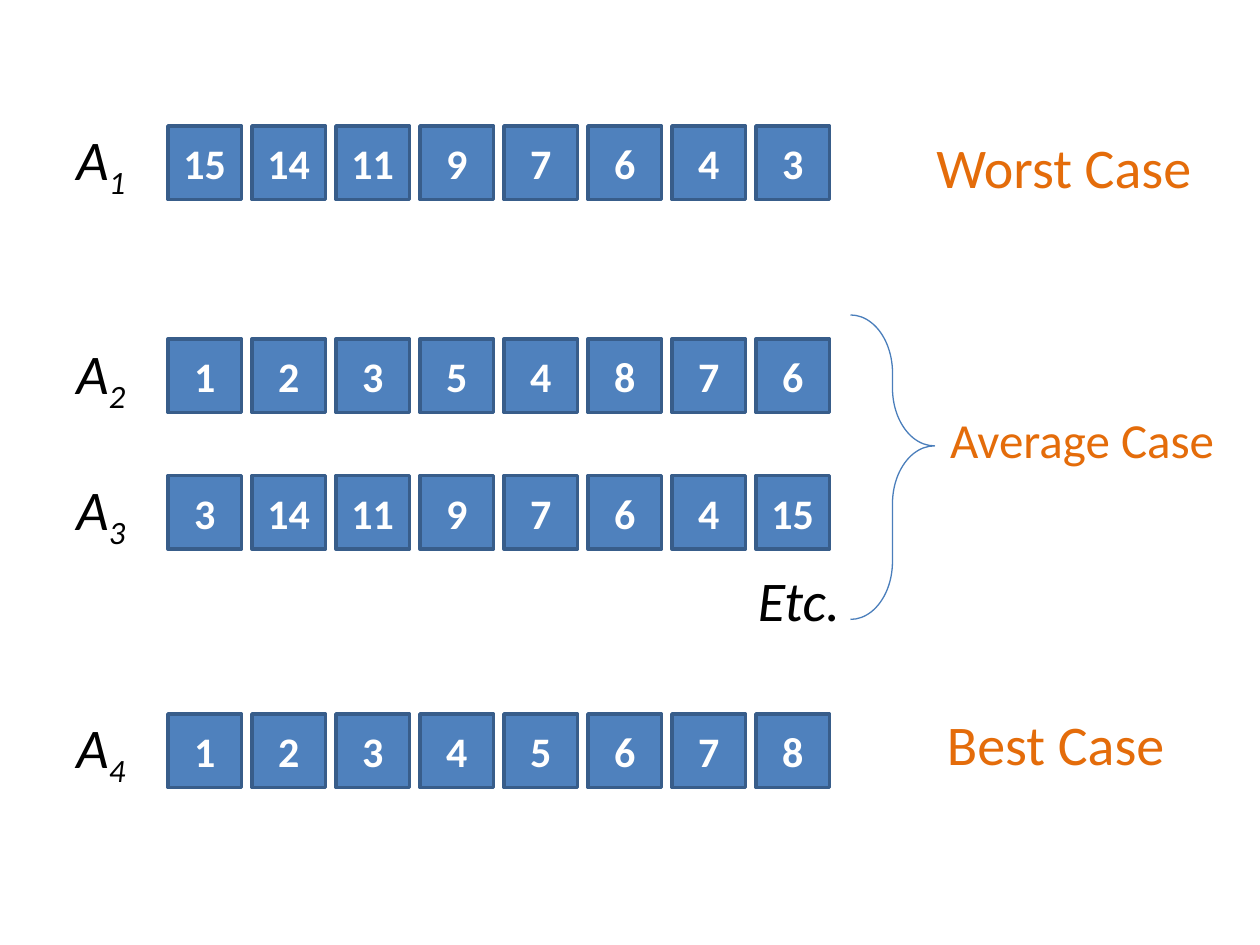
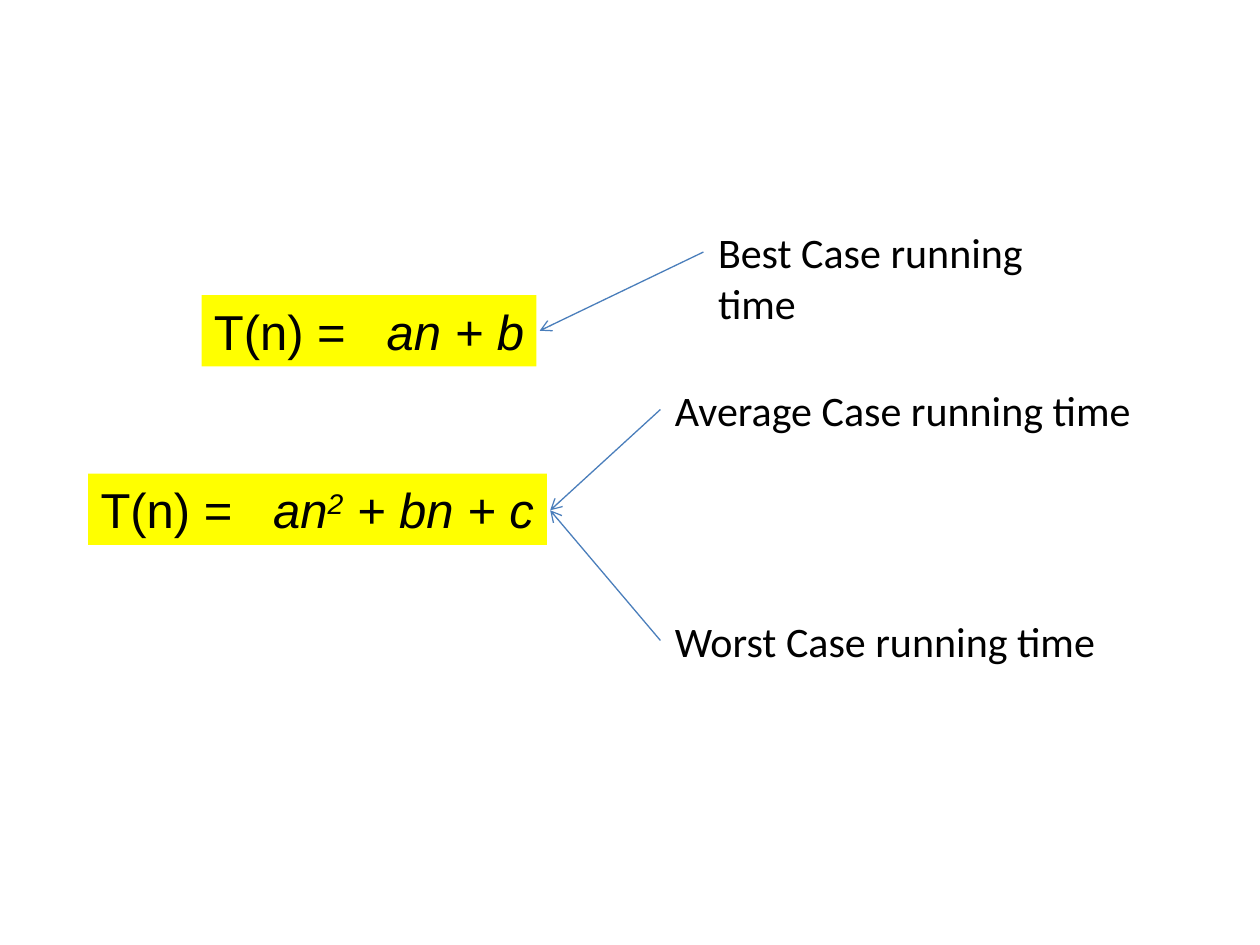
from lxml.etree import SubElement as Sub
from pptx import Presentation as Pres
from pptx.dml.color import RGBColor as RGB
from pptx.enum.shapes import MSO_CONNECTOR as Link, MSO_SHAPE as Form
from pptx.enum.text import MSO_ANCHOR as Anchor, MSO_AUTO_SIZE as Fit, PP_ALIGN as Align
from pptx.oxml.ns import qn
from pptx.util import Inches, Pt

HUES = {"cell": "4F81BD", "edge": "385D8A", "line": "4A7EBB", "case": "E46C0A",
        "ink": "000000", "pale": "FFFFFF", "mark": "FFFF00"}
FONTS = {
    "cell": {"name": "Calibri", "size": Pt(24), "bold": True, "hue": "pale"},
    "name": {"name": "Calibri", "size": Pt(32), "italic": True, "hue": "ink"},
    "case": {"name": "Calibri", "size": Pt(32), "hue": "case"},
    "mean": {"name": "Calibri", "size": Pt(28), "hue": "case"},
    "note": {"name": "Calibri", "size": Pt(24), "hue": "ink"},
    "sum": {"name": "Arial", "size": Pt(28), "hue": "ink"},
}
COLS, ROWS = 120, 90


def tint(name):
    return RGB.from_string(HUES[name])


class Deck:
    """Hold the style and the current slide; lengths are grid columns and rows."""

    def __init__(self):
        self.pres = Pres()
        self.pres.slide_width, self.pres.slide_height = Inches(10), Inches(7.5)
        self.slide = None

    def add(self):
        self.slide = self.pres.slides.add_slide(self.pres.slide_layouts[6])

    def place(self, *spots):
        """Turn alternating columns and rows into slide lengths."""
        units = self.pres.slide_width / COLS, self.pres.slide_height / ROWS
        return [round(spot * units[i % 2]) for i, spot in enumerate(spots)]

    def text(self, para, font, parts):
        """Add runs; each part is its text and a dict of changes to the font."""
        for words, change in parts:
            run = para.add_run()
            run.text = words
            form = {**FONTS[font], **change}
            run.font.color.rgb = tint(form.pop("hue"))
            shift = form.pop("shift", 0)
            for key, value in form.items():
                setattr(run.font, key, value)
            if shift:
                run.font._element.set("baseline", str(shift * 1000))

    def shape(self, form, spots, line=None, fill=None, width=0.75):
        item = self.slide.shapes.add_shape(form, *self.place(*spots))
        item.shadow.inherit = False
        if fill:
            item.fill.solid()
            item.fill.fore_color.rgb = tint(fill)
        else:
            item.fill.background()
        if line:
            item.line.color.rgb = tint(line)
            item.line.width = Pt(width)
        else:
            item.line.fill.background()
        return item

    def cell(self, col, row, value):
        item = self.shape(Form.RECTANGLE, (col, row, 7, 7), "edge", "cell", 2)
        item.text_frame.vertical_anchor = Anchor.MIDDLE
        para = item.text_frame.paragraphs[0]
        para.alignment = Align.CENTER
        self.text(para, "cell", [(str(value), {})])

    def fit(self, item, font, parts):
        """Set unwrapped text at the top left of a shape that fits it."""
        look = {"word_wrap": False, "auto_size": Fit.SHAPE_TO_FIT_TEXT,
                "vertical_anchor": Anchor.TOP}
        for key, value in look.items():
            setattr(item.text_frame, key, value)
        para = item.text_frame.paragraphs[0]
        para.alignment = Align.LEFT
        self.text(para, font, parts)
        return para

    def label(self, spots, font, *parts):
        item = self.slide.shapes.add_textbox(*self.place(*spots))
        self.fit(item, font, parts)

    def sum(self, spots, *parts):
        """Add a marked formula whose right side starts at a tab stop."""
        item = self.shape(Form.RECTANGLE, spots, fill="mark")
        para = self.fit(item, "sum", [("T(n) =\t", {}), *parts])
        stops = Sub(para._p.get_or_add_pPr(), qn("a:tabLst"))
        Sub(stops, qn("a:tab"), pos=str(Inches(1.37)), algn="l")

    def brace(self, spots, curve, point):
        item = self.shape(Form.RIGHT_BRACE, spots, "line")
        item.adjustments[0], item.adjustments[1] = curve, point

    def arrow(self, start, end):
        item = self.slide.shapes.add_connector(Link.STRAIGHT, *self.place(*start, *end))
        item.line.color.rgb = tint("line")
        item.line.width = Pt(0.75)
        Sub(item.line._get_or_add_ln(), qn("a:tailEnd"), type="arrow")
        Sub(item._element.spPr, qn("a:effectLst"))


def show_cases(deck):
    deck.add()
    lists = [(12, (15, 14, 11, 9, 7, 6, 4, 3)), (32.3, (1, 2, 3, 5, 4, 8, 7, 6)),
             (45.3, (3, 14, 11, 9, 7, 6, 4, 15)), (68, range(1, 9))]
    for num, (row, values) in enumerate(lists, 1):
        deck.label((6.1, row - 0.7, 7.1, 8.5), "name", ("A", {}), (str(num), {"shift": -25}))
        for i, value in enumerate(values):
            deck.cell(16 + 8 * i, row, value)
    deck.label((71, 53.3, 10.3, 7.7), "name", ("Etc.", {}))
    deck.brace((81, 30, 8, 29), 0.69, 0.43)
    deck.label((88, 12, 27, 7.7), "case", ("Worst Case", {}))
    deck.label((89.3, 38.4, 27.7, 6.8), "mean", ("Average Case", {}))
    deck.label((89, 67, 23.2, 7.7), "case", ("Best Case", {}))


def show_times(deck):
    deck.add()
    slant = {"italic": True}
    deck.sum((19.2, 28.1, 31.9, 6.8), ("an + b", slant))
    deck.sum((8.4, 45.1, 43.7, 6.8), ("an", slant), ("2", {**slant, "shift": 30}),
             (" + bn + c", slant))
    line, square = (51.4, 31.5), (52.4, 48.6)
    notes = [("Best", 67.2, 21, 39.7, line), ("Average", 63.1, 36, 46, square),
             ("Worst", 63.1, 58, 42.7, square)]
    for case, col, row, width, end in notes:
        deck.label((col, row, width, 6), "note", (f"{case} Case running time", {}))
        deck.arrow((col - 0.2, row + 3), end)


def main():
    deck = Deck()
    show_cases(deck)
    show_times(deck)
    deck.pres.save("out.pptx")


if __name__ == "__main__":
    main()
